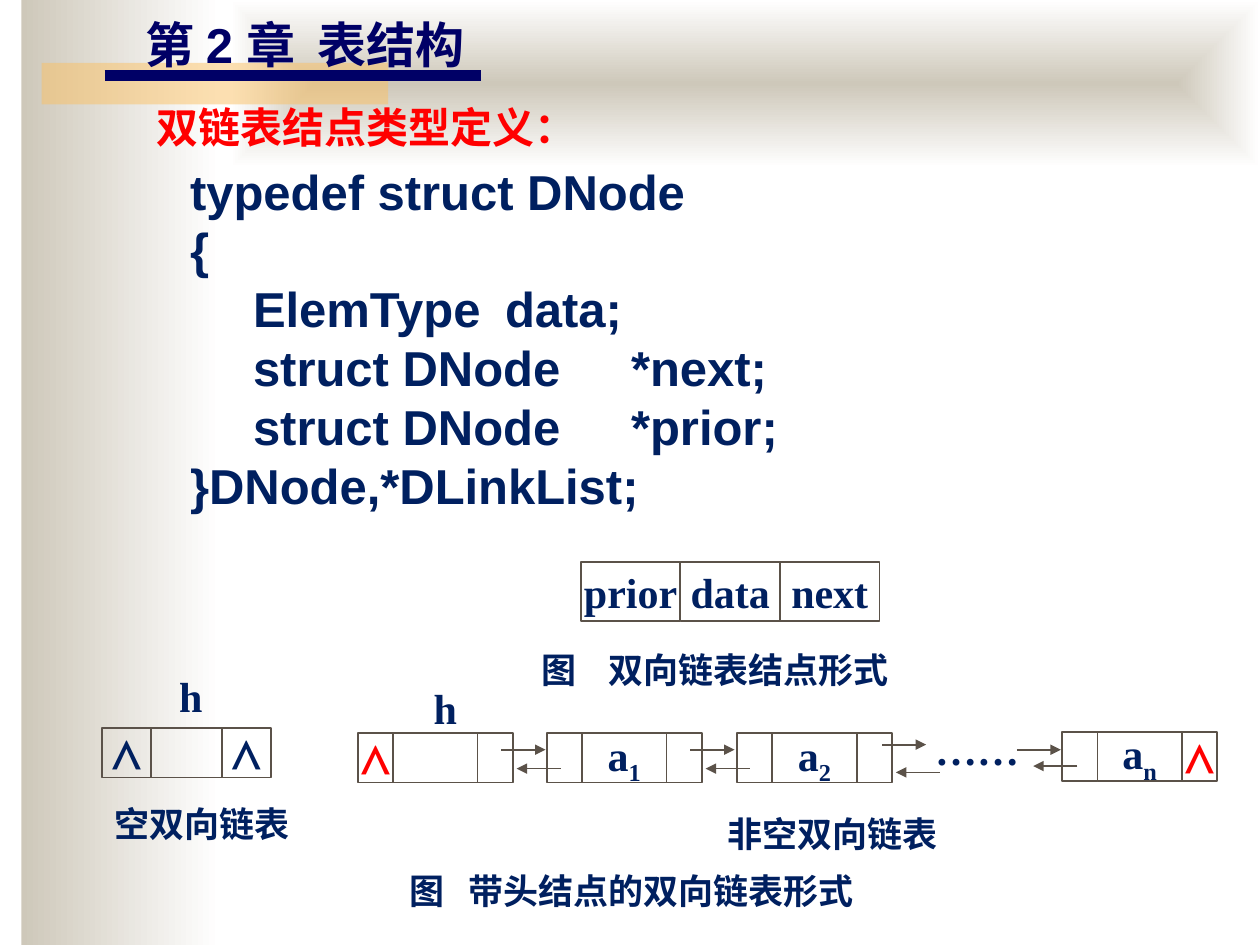
from lxml.etree import Element, SubElement
from pptx import Presentation
from pptx.dml.color import RGBColor
from pptx.enum.shapes import MSO_CONNECTOR, MSO_SHAPE
from pptx.enum.text import MSO_ANCHOR, PP_ALIGN
from pptx.oxml.ns import qn
from pptx.util import Inches, Pt

STONE = RGBColor(0xCE, 0xC8, 0xBA)
WHITE = RGBColor(0xFF, 0xFF, 0xFF)
AMBER = RGBColor(0xFA, 0xC1, 0x64)
INDIGO = RGBColor(0x00, 0x00, 0x66)
NAVY = RGBColor(0x00, 0x20, 0x60)
RED = RGBColor(0xFF, 0x00, 0x00)
BROWN = RGBColor(0x5B, 0x52, 0x49)
SANS, CJK, SERIF = "Arial", "Noto Sans CJK SC", "Times New Roman"

TITLE = "第 2 章  表结构"
HEADING = "双链表结点类型定义："
CODE = [
    "typedef struct DNode",
    "{",
    "\tElemType \tdata;",
    "\tstruct DNode \t*next;",
    "\tstruct DNode \t*prior;",
    "}DNode,*DLinkList;",
]
CODE_INDENT = 0.5
CODE_TABS = (1.5, 3.5, 4.5)
CAPTIONS = [
    ("图    双向链表结点形式", 3.98, 5.13, 3.39, 0.36, 20, CJK),
    ("……", 7.4, 5.75, 0.71, 0.39, 24, SERIF),
    ("非空双向链表", 5.7, 6.42, 1.81, 0.39, 20, SERIF),
    ("h", 3.18, 5.42, 0.71, 0.39, 24, SERIF),
    ("空双向链表", 0.82, 6.34, 1.57, 0.39, 20, SERIF),
    ("h", 1.14, 5.33, 0.75, 0.39, 24, SERIF),
    ("图   带头结点的双向链表形式", 2.47, 6.85, 5.09, 0.43, 20, CJK),
]
NIL = "⋀"
FIELD_WIDTHS = (0.79, 0.79, 0.79)
EMPTY_WIDTHS = (0.39, 0.56, 0.39)
NODE_WIDTHS = (0.28, 0.67, 0.28)
NODES = [
    (4.61, 4.46, FIELD_WIDTHS, 0.47, ("prior", "data", "next"), NAVY),
    (0.81, 5.78, EMPTY_WIDTHS, 0.39, (NIL, "", NIL), NAVY),
    (2.84, 5.82, NODE_WIDTHS, 0.39, (NIL, "", ""), RED),
    (4.34, 5.82, NODE_WIDTHS, 0.39, ("", "a_1", ""), RED),
    (5.85, 5.82, NODE_WIDTHS, 0.39, ("", "a_2", ""), RED),
    (8.43, 5.81, NODE_WIDTHS, 0.39, ("", "a_n", NIL), RED),
]
ARROW_LENGTH = 0.35
NEXT_ARROWS = [(3.98, 5.95), (5.48, 5.95), (7.0, 5.91), (8.07, 5.95)]
PRIOR_ARROWS = [(4.45, 6.1), (5.95, 6.1), (7.46, 6.13), (8.55, 6.08)]


def add_box(slide, left, top, width, height):
    shape = slide.shapes.add_shape(
        MSO_SHAPE.RECTANGLE, Inches(left), Inches(top), Inches(width), Inches(height))
    shape.shadow.inherit = False
    shape.fill.background()
    shape.line.fill.background()
    return shape


def add_gradient_box(slide, *place):
    shape = add_box(slide, *place)
    shape.fill.gradient()
    shape.fill.gradient_angle = 0
    for stop, color, position in zip(shape.fill.gradient_stops, (STONE, WHITE), (0, 1)):
        stop.color.rgb = color
        stop.position = position
    return shape


def add_line(slide, start, end, color, width):
    line = slide.shapes.add_connector(
        MSO_CONNECTOR.STRAIGHT, *(Inches(value) for value in (*start, *end)))
    line.line.color.rgb = color
    line.line.width = Pt(width)
    SubElement(line._element.spPr, qn("a:effectLst"))
    return line


def add_arrow(slide, start, length):
    x, y = start
    arrow = add_line(slide, start, (x + length, y), BROWN, 1)
    SubElement(arrow.line._get_or_add_ln(), qn("a:tailEnd"), type="triangle")


def write(frame, lines, size, font_name, color, centred=False):
    frame.word_wrap = not centred
    frame.vertical_anchor = MSO_ANCHOR.MIDDLE if centred else MSO_ANCHOR.TOP
    if centred:
        frame.margin_left = frame.margin_right = 0
    for index, line in enumerate(lines):
        paragraph = frame.add_paragraph() if index else frame.paragraphs[0]
        paragraph.alignment = PP_ALIGN.CENTER if centred else PP_ALIGN.LEFT
        font = paragraph.font
        font.size, font.name, font.bold = Pt(size), font_name, True
        font.color.rgb = color
        base, _, subscript = line.partition("_")
        for text, offset in ((base, None), (subscript, "-25000")):
            if text:
                run = paragraph.add_run()
                run.text = text
                properties = run._r.get_or_add_rPr()
                SubElement(properties, qn("a:ea"), typeface=CJK)
                if offset:
                    properties.set("baseline", offset)


def add_text(slide, place, lines, *style, centred=False):
    box = slide.shapes.add_textbox(*(Inches(value) for value in place))
    write(box.text_frame, lines, *style, centred=centred)
    return box.text_frame


def indent_code(frame):
    for paragraph in frame.paragraphs:
        properties = paragraph._p.get_or_add_pPr()
        properties.set("marL", str(Inches(CODE_INDENT)))
        properties.set("indent", "0")
        tabs = Element(qn("a:tabLst"))
        for position in CODE_TABS:
            SubElement(tabs, qn("a:tab"), pos=str(Inches(position)), algn="l")
        properties.find(qn("a:defRPr")).addprevious(tabs)


def add_node(slide, left, top, widths, height, labels, nil_color):
    for width, label in zip(widths, labels):
        cell = add_box(slide, left, top, width, height)
        cell.line.color.rgb = BROWN
        cell.line.width = Pt(1)
        if label:
            color = nil_color if label == NIL else NAVY
            write(cell.text_frame, [label], 24, SERIF, color, centred=True)
        left += width


def add_background(slide):
    add_gradient_box(slide, 0.17, 0, 1.58, 7.5)
    banner = add_gradient_box(slide, 1.83, 0, 8.17, 1.33)
    gradient = banner._element.spPr.find(qn("a:gradFill"))
    gradient.remove(gradient.find(qn("a:lin")))
    focus = SubElement(gradient, qn("a:path"), path="shape")
    SubElement(focus, qn("a:fillToRect"), dict.fromkeys("ltrb", "50000"))
    accent = add_box(slide, 0.33, 0.5, 2.75, 0.33)
    accent.fill.solid()
    accent.fill.fore_color.rgb = AMBER
    color = accent._element.spPr.find(qn("a:solidFill")).find(qn("a:srgbClr"))
    SubElement(color, qn("a:alpha"), val="50000")


def main():
    presentation = Presentation()
    presentation.slide_width, presentation.slide_height = Inches(10), Inches(7.5)
    slide = presentation.slides.add_slide(presentation.slide_layouts[6])
    add_background(slide)
    add_line(slide, (0.83, 0.6), (3.82, 0.6), INDIGO, 6)
    add_text(slide, (1.06, 0.07, 3.2, 0.57), [TITLE], 28, SANS, INDIGO)
    add_text(slide, (1.14, 0.76, 5.28, 0.5), [HEADING], 24, CJK, RED)
    code = add_text(slide, (0.91, 1.23, 8.58, 3.4), CODE, 28, SANS, NAVY)
    indent_code(code)
    for text, left, top, width, height, size, font_name in CAPTIONS:
        add_text(slide, (left, top, width, height), [text], size, font_name, NAVY, centred=True)
    for node in NODES:
        add_node(slide, *node)
    for start in NEXT_ARROWS:
        add_arrow(slide, start, ARROW_LENGTH)
    for start in PRIOR_ARROWS:
        add_arrow(slide, start, -ARROW_LENGTH)
    presentation.save("out.pptx")


if __name__ == "__main__":
    main()
